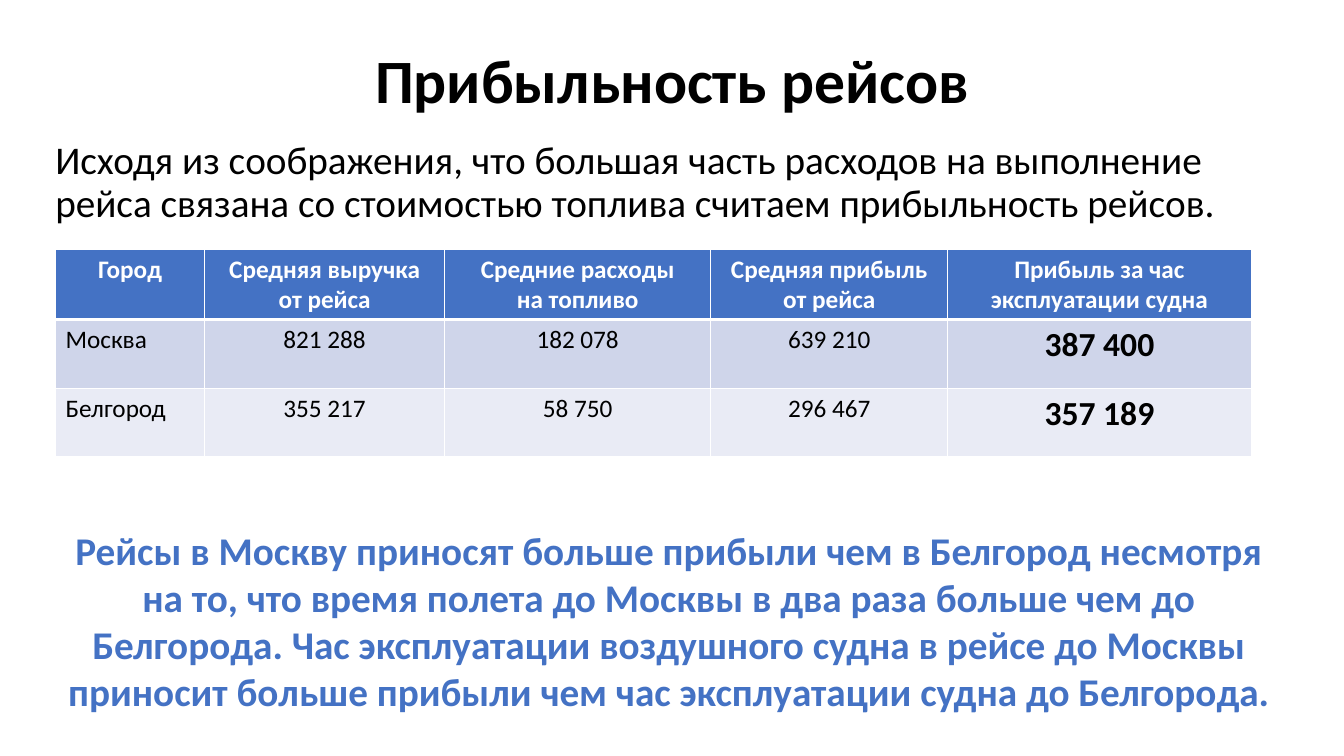
from lxml import etree
from pptx import Presentation
from pptx.dml.color import RGBColor
from pptx.enum.text import MSO_ANCHOR, PP_ALIGN
from pptx.oxml.ns import qn
from pptx.util import Inches, Pt

LEFT, CENTER = PP_ALIGN.LEFT, PP_ALIGN.CENTER
TOP, MIDDLE = MSO_ANCHOR.TOP, MSO_ANCHOR.MIDDLE
BLACK, WHITE, BLUE = "000000", "FFFFFF", "4472C4"
ROW_FILLS = [BLUE, "CFD5EA", "E9EBF5"]


def color(value):
    return RGBColor.from_string(value)


def write(frame, text, size, ink, bold, paragraph_format):
    frame.word_wrap = True
    for index, line in enumerate(text.split("\n")):
        para = frame.add_paragraph() if index else frame.paragraphs[0]
        for name, value in paragraph_format.items():
            setattr(para, name, value)
        span = para.add_run()
        span.text = line
        for name, value in {"name": "Calibri", "size": Pt(size), "bold": bold}.items():
            setattr(span.font, name, value)
        span.font.color.rgb = color(ink)


deck = Presentation()
deck.slide_width, deck.slide_height = Inches(13.33), Inches(7.5)
page = deck.slides.add_slide(deck.slide_layouts[6])

texts = [
    ((0.92, 0.4, 11.5, 0.85), MIDDLE, "Прибыльность рейсов", 44, BLACK, True,
     {"alignment": CENTER, "line_spacing": 0.9}),
    ((0.45, 1.35, 11.97, 1.01), TOP,
     "Исходя из соображения, что большая часть расходов на выполнение "
     "рейса связана со стоимостью топлива считаем прибыльность рейсов.",
     28, BLACK, False,
     {"alignment": LEFT, "line_spacing": 0.9, "space_before": Pt(10)}),
    ((0.55, 5.17, 12.16, 1.99), TOP,
     "Рейсы в Москву приносят больше прибыли чем в Белгород несмотря на то, "
     "что время полета до Москвы в два раза больше чем до Белгорода. "
     "Час эксплуатации воздушного судна в рейсе до Москвы приносит больше "
     "прибыли чем час эксплуатации судна до Белгорода.",
     28, BLUE, True, {"alignment": CENTER}),
]
for place, anchor, text, size, ink, bold, paragraph_format in texts:
    box = page.shapes.add_textbox(*map(Inches, place))
    box.text_frame.vertical_anchor = anchor
    write(box.text_frame, text, size, ink, bold, paragraph_format)

rows = [
    ["Город", "Средняя выручка\nот рейса", "Средние расходы\nна топливо",
     "Средняя прибыль от рейса", "Прибыль за час эксплуатации судна"],
    ["Москва", "821 288", "182 078", "639 210", "387 400"],
    ["Белгород", "355 217", "58 750", "296 467", "357 189"],
]
widths = [1.48, 2.38, 2.64, 2.35, 3.01]
table = page.shapes.add_table(
    len(rows), len(widths), Inches(0.55), Inches(2.47),
    Inches(sum(widths)), Inches(2.05)).table
for column, width in zip(table.columns, widths):
    column.width = Inches(width)

for r, row in enumerate(rows):
    table.rows[r].height = Inches(0.68)
    for c, text in enumerate(row):
        cell = table.cell(r, c)
        header, profit = r == 0, c == len(row) - 1
        properties = cell._tc.get_or_add_tcPr()
        for side in ("lnL", "lnR", "lnT", "lnB"):
            thick = (r, side) in ((0, "lnB"), (1, "lnT"))
            line = etree.SubElement(properties, qn("a:" + side), w=str(Pt(3 if thick else 1)))
            fill = etree.SubElement(line, qn("a:solidFill"))
            etree.SubElement(fill, qn("a:srgbClr"), val=WHITE)
        cell.fill.solid()
        cell.fill.fore_color.rgb = color(ROW_FILLS[r])
        write(cell.text_frame, text, 24 if profit and not header else 18,
              WHITE if header else BLACK, header or profit,
              {"alignment": CENTER if header or c else LEFT})

deck.save("out.pptx")
